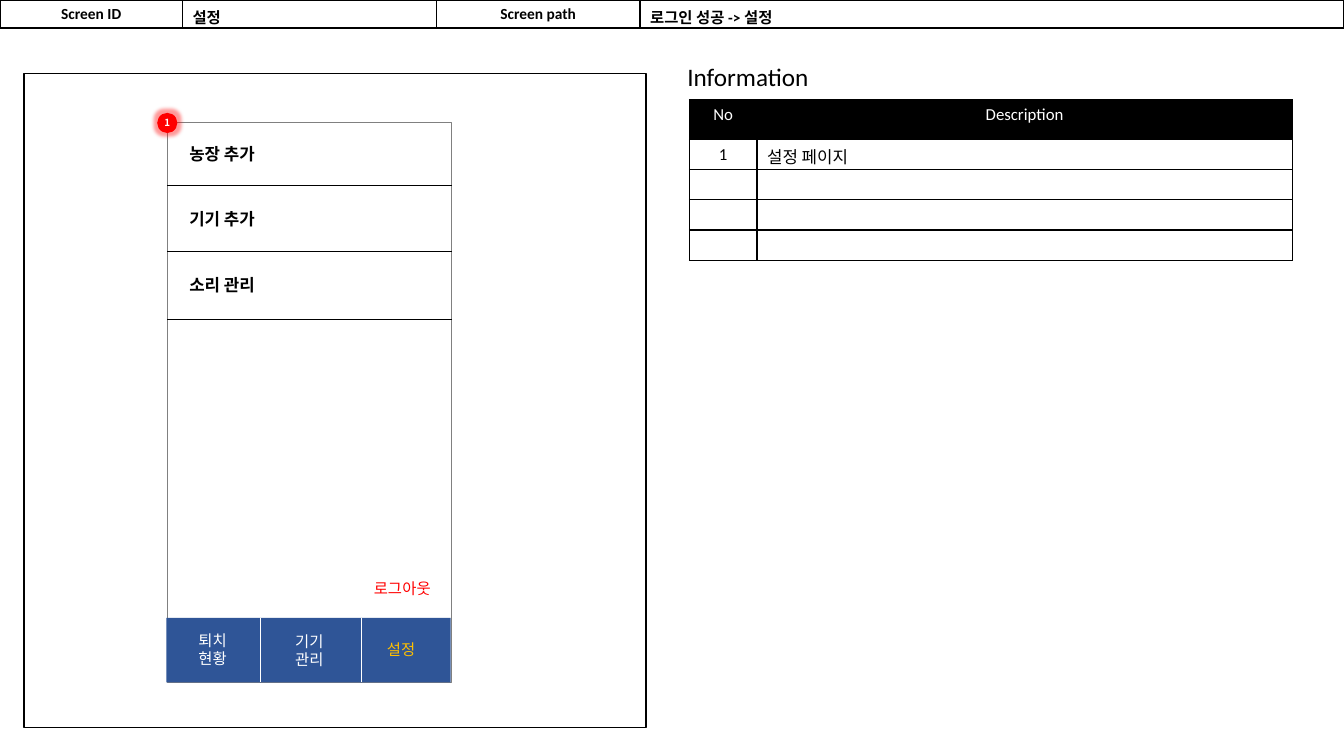
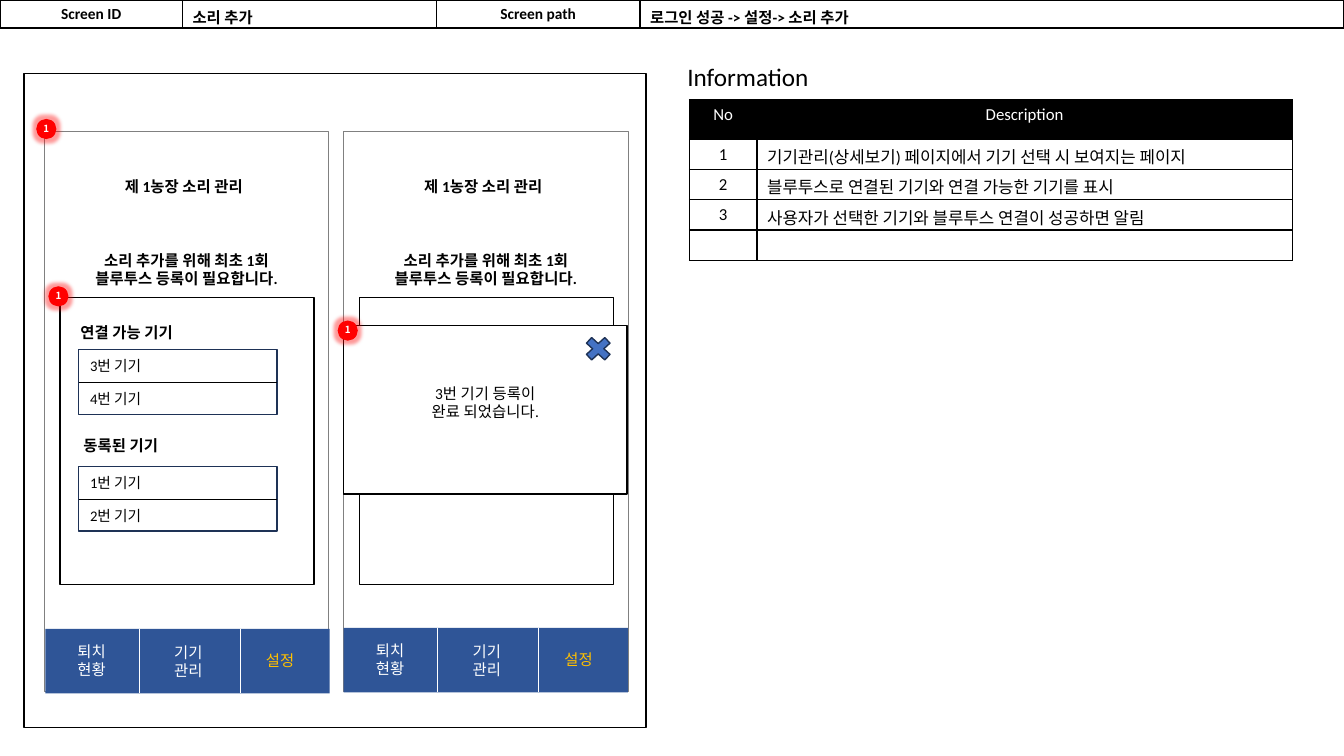
"""Builds two screen specification slides for the settings pages of an app."""
from dataclasses import dataclass
from typing import Any, Sequence

import lxml.etree
import pptx
import pptx.dml.color
import pptx.enum.shapes
import pptx.enum.text
import pptx.oxml.ns
import pptx.util

SHAPE = pptx.enum.shapes.MSO_SHAPE
LEFT = pptx.enum.text.PP_ALIGN.LEFT
CENTER = pptx.enum.text.PP_ALIGN.CENTER
qn = pptx.oxml.ns.qn


@dataclass(frozen=True)
class Theme:
    black: str = "000000"
    white: str = "FFFFFF"
    red: str = "FF0000"
    grey: str = "808080"
    navy: str = "1E3256"
    nav_blue: str = "2F5597"
    close_blue: str = "4472C4"
    amber: str = "FFC000"
    latin: str = "Calibri"
    korean: str = "Noto Sans CJK KR"
    heading: float = 18
    menu: float = 12
    body: float = 11
    device: float = 10.5
    badge: float = 7
    hairline: float = 0.5
    outline: float = 1
    heavy: float = 2


THEME = Theme()


@dataclass(frozen=True)
class Box:
    """A rectangle in columns and rows of a 0.1 inch grid."""
    col: float
    row: float
    cols: float
    rows: float

    def emu(self) -> tuple[int, int, int, int]:
        return grid(self.col), grid(self.row), grid(self.cols), grid(self.rows)


@dataclass(frozen=True)
class TextStyle:
    size: float = THEME.body
    color: str = THEME.black
    bold: bool = False
    align: Any = LEFT
    latin: str = THEME.latin
    korean: str = THEME.latin


@dataclass(frozen=True)
class Screen:
    name: str
    route: str
    notes: Sequence[str]


@dataclass(frozen=True)
class NavItem:
    label: str
    col: float
    row: float
    rows: float
    color: str = THEME.white


SCREENS = (
    Screen("설정", "로그인 성공 -> 설정", ("설정 페이지",)),
    Screen("소리 추가", "로그인 성공 -> 설정-> 소리 추가", (
        "기기관리(상세보기) 페이지에서 기기 선택 시 보여지는 페이지",
        "블루투스로 연결된 기기와 연결 가능한 기기를 표시",
        "사용자가 선택한 기기와 블루투스 연결이 성공하면 알림")),
)
NAV_ITEMS = (
    NavItem("퇴치현황", 2.2, 0.8, 4.7),
    NavItem("기기관리", 11.8, 0.9, 4.7),
    NavItem("설정", 20.9, 1.7, 2.9, THEME.amber),
)
NAV_DIVIDERS = (9.3, 19.3)
PHONE_COLS, PHONE_ROWS, NAV_ROWS = 28.2, 55.6, 6.4
NOTE_ROWS = 4
BOLD = TextStyle(bold=True)
BOLD_CENTER = TextStyle(bold=True, align=CENTER)


def grid(cells: float) -> int:
    return pptx.util.Inches(cells / 10)


def rgb(color: str) -> pptx.dml.color.RGBColor:
    return pptx.dml.color.RGBColor.from_string(color)


def style_text(frame: Any, content: str, style: TextStyle) -> None:
    frame.text = content
    for paragraph in frame.paragraphs:
        paragraph.alignment = style.align
        for run in paragraph.runs:
            run.font.size = pptx.util.Pt(style.size)
            run.font.bold = style.bold
            run.font.color.rgb = rgb(style.color)
            run.font.name = style.latin
            lxml.etree.SubElement(run.font._element, qn("a:ea"), typeface=style.korean)
        if not paragraph.runs:
            lxml.etree.SubElement(paragraph._p, qn("a:endParaRPr"),
                                  sz=str(int(style.size * 100)))


def add_text(slide: Any, box: Box, content: str, style: TextStyle = TextStyle()) -> None:
    frame = slide.shapes.add_textbox(*box.emu()).text_frame
    frame.word_wrap = True
    style_text(frame, content, style)


def add_panel(slide: Any, box: Box, fill: str = THEME.white, line: str | None = None,
              width: float = THEME.outline, preset: Any = SHAPE.RECTANGLE) -> Any:
    panel = slide.shapes.add_shape(preset, *box.emu())
    panel.shadow.inherit = False
    panel.fill.solid()
    panel.fill.fore_color.rgb = rgb(fill)
    if line:
        panel.line.color.rgb = rgb(line)
        panel.line.width = pptx.util.Pt(width)
    else:
        panel.line.fill.background()
    return panel


def add_rule(slide: Any, col: float, row: float, cols: float = 0, rows: float = 0,
             color: str = THEME.black) -> None:
    rule = slide.shapes.add_connector(
        pptx.enum.shapes.MSO_CONNECTOR.STRAIGHT,
        grid(col), grid(row), grid(col + cols), grid(row + rows))
    rule.line.color.rgb = rgb(color)
    rule.line.width = pptx.util.Pt(THEME.hairline)
    lxml.etree.SubElement(rule._element.spPr, qn("a:effectLst"))


def add_badge(slide: Any, col: float, row: float) -> None:
    dot = add_panel(slide, Box(col, row, 2, 2), THEME.red, preset=SHAPE.OVAL)
    effects = dot._element.spPr.find(qn("a:effectLst"))
    glow = lxml.etree.SubElement(effects, qn("a:glow"), rad="63500")
    tint = lxml.etree.SubElement(glow, qn("a:srgbClr"), val=THEME.red)
    lxml.etree.SubElement(tint, qn("a:alpha"), val="40000")
    add_text(slide, Box(col - 1.15, row - 0.15, 4.3, 2.2), "1",
             TextStyle(THEME.badge, THEME.white, True, CENTER, THEME.korean, THEME.korean))


def fill_cell(cell: Any, content: str, style: TextStyle, fill: str, bottom: float) -> None:
    properties = cell._tc.get_or_add_tcPr()
    for side in ("L", "R", "T", "B"):
        width = bottom if side == "B" else THEME.outline
        border = lxml.etree.SubElement(properties, qn(f"a:ln{side}"),
                                       w=str(pptx.util.Pt(width)))
        paint = lxml.etree.SubElement(border, qn("a:solidFill"))
        lxml.etree.SubElement(paint, qn("a:srgbClr"), val=THEME.black)
    cell.fill.solid()
    cell.fill.fore_color.rgb = rgb(fill)
    style_text(cell.text_frame, content, style)


def add_grid_table(slide: Any, box: Box, cols: Sequence[float], rows: Sequence[float]) -> Any:
    table = slide.shapes.add_table(len(rows), len(cols), *box.emu()).table
    table.first_row = table.horz_banding = False
    for column, width in zip(table.columns, cols):
        column.width = grid(width)
    for line, height in zip(table.rows, rows):
        line.height = grid(height)
    return table


def add_header(slide: Any, screen: Screen) -> None:
    table = add_grid_table(slide, Box(0, 0, 133.3, 2.8), (18.1, 25.2, 20.2, 69.8), (2.8,))
    for index, content in enumerate(("Screen ID", screen.name, "Screen path", screen.route)):
        cell = table.cell(0, index)
        cell.margin_bottom = 0
        style = TextStyle(bold=True, align=LEFT if index % 2 else CENTER, korean=THEME.korean)
        fill_cell(cell, content, style, THEME.white, THEME.heavy)


def add_information(slide: Any, notes: Sequence[str]) -> None:
    add_text(slide, Box(67.2, 5.6, 15, 4), "Information", TextStyle(THEME.heading))
    table = add_grid_table(slide, Box(68.4, 9.9, 59.8, 16), (6.7, 53.1),
                           (3.9, *[3] * NOTE_ROWS))
    numbered = [(str(number), note) for number, note in enumerate(notes, 1)]
    blanks = [("", "")] * (NOTE_ROWS - len(notes))
    for row, entry in enumerate([("No", "Description"), *numbered, *blanks]):
        ink, fill = (THEME.black, THEME.white) if row else (THEME.white, THEME.black)
        for col, content in enumerate(entry):
            align = LEFT if row and col else CENTER
            style = TextStyle(THEME.menu, ink, align=align, korean=THEME.korean)
            fill_cell(table.cell(row, col), content, style, fill, THEME.outline)


def add_phone(slide: Any, col: float, row: float) -> None:
    add_panel(slide, Box(col, row, PHONE_COLS, PHONE_ROWS), line=THEME.grey,
              width=THEME.hairline)


def add_nav(slide: Any, col: float, row: float) -> None:
    add_panel(slide, Box(col, row, PHONE_COLS, NAV_ROWS), THEME.nav_blue)
    for divider in NAV_DIVIDERS:
        add_rule(slide, col + divider, row, rows=NAV_ROWS, color=THEME.white)
    for item in NAV_ITEMS:
        add_text(slide, Box(col + item.col, row + item.row, 5.5, item.rows), item.label,
                 TextStyle(color=item.color))


def add_sound_phone(slide: Any, col: float) -> None:
    add_phone(slide, col, 13)
    add_text(slide, Box(col + 3.1, 17.1, 21.5, 2.9), "제 1농장 소리 관리", BOLD_CENTER)
    add_text(slide, Box(col + 3.35, 24.4, 21.5, 4.7),
             "소리 추가를 위해 최초 1회 블루투스 등록이 필요합니다.", BOLD_CENTER)
    add_panel(slide, Box(col + 1.55, 29.5, 25.2, 28.5), line=THEME.black)


def add_device_list(slide: Any, row: float, devices: Sequence[str]) -> None:
    add_panel(slide, Box(7.8, row, 19.7, 6.4), line=THEME.navy)
    add_rule(slide, 7.8, row + 3.2, cols=19.7)
    for index, device in enumerate(devices):
        add_text(slide, Box(7.95, row + 0.2 + 3.25 * index, 9.4, 2.9), device,
                 TextStyle(THEME.device))


def add_screen(deck: Any, screen: Screen) -> Any:
    slide = deck.slides.add_slide(deck.slide_layouts[6])
    add_panel(slide, Box(2.4, 7.3, 61.7, 64.9), line=THEME.black)
    add_information(slide, screen.notes)
    add_header(slide, screen)
    return slide


def draw_settings(slide: Any) -> None:
    add_phone(slide, 16.6, 12.1)
    add_badge(slide, 15.6, 11.2)
    for label, row, rule_row in (("농장 추가", 13.8, 18.4), ("기기 추가", 20.2, 24.9),
                                 ("소리 관리", 26.8, 31.7)):
        add_text(slide, Box(17.8, row, 9.7, 3), label, TextStyle(THEME.menu, bold=True))
        add_rule(slide, 16.6, rule_row, cols=PHONE_COLS)
    add_text(slide, Box(36.1, 57, 8.7, 2.9), "로그아웃", TextStyle(color=THEME.red))
    add_nav(slide, 16.5, 61.3)


def draw_sound_setup(slide: Any) -> None:
    for col in (4.4, 34.1):
        add_sound_phone(slide, col)
    add_text(slide, Box(7, 31.6, 12.7, 2.9), "연결 가능 기기", BOLD)
    add_device_list(slide, 34.7, ("3번 기기", "4번 기기"))
    add_text(slide, Box(7.3, 42.8, 12.7, 2.9), "동록된 기기", BOLD)
    add_device_list(slide, 46.3, ("1번 기기", "2번 기기"))
    add_panel(slide, Box(34.1, 32.3, 28.1, 16.7), line=THEME.black)
    add_text(slide, Box(36.3, 37.6, 23.7, 5.5), "3번 기기 등록이\n완료 되었습니다.",
             TextStyle(align=CENTER))
    add_panel(slide, Box(57.6, 33, 3.5, 3.2), THEME.close_blue, THEME.navy,
              preset=SHAPE.MATH_MULTIPLY)
    for col, row in ((3.6, 11.8), (4.8, 28.4), (33.5, 31.8)):
        add_badge(slide, col, row)
    add_nav(slide, 4.5, 62.4)
    add_nav(slide, 34.1, 62.3)


def main() -> None:
    deck = pptx.Presentation()
    deck.slide_width, deck.slide_height = grid(133.33), grid(75)
    for screen, draw in zip(SCREENS, (draw_settings, draw_sound_setup)):
        draw(add_screen(deck, screen))
    deck.save("out.pptx")


if __name__ == "__main__":
    main()
